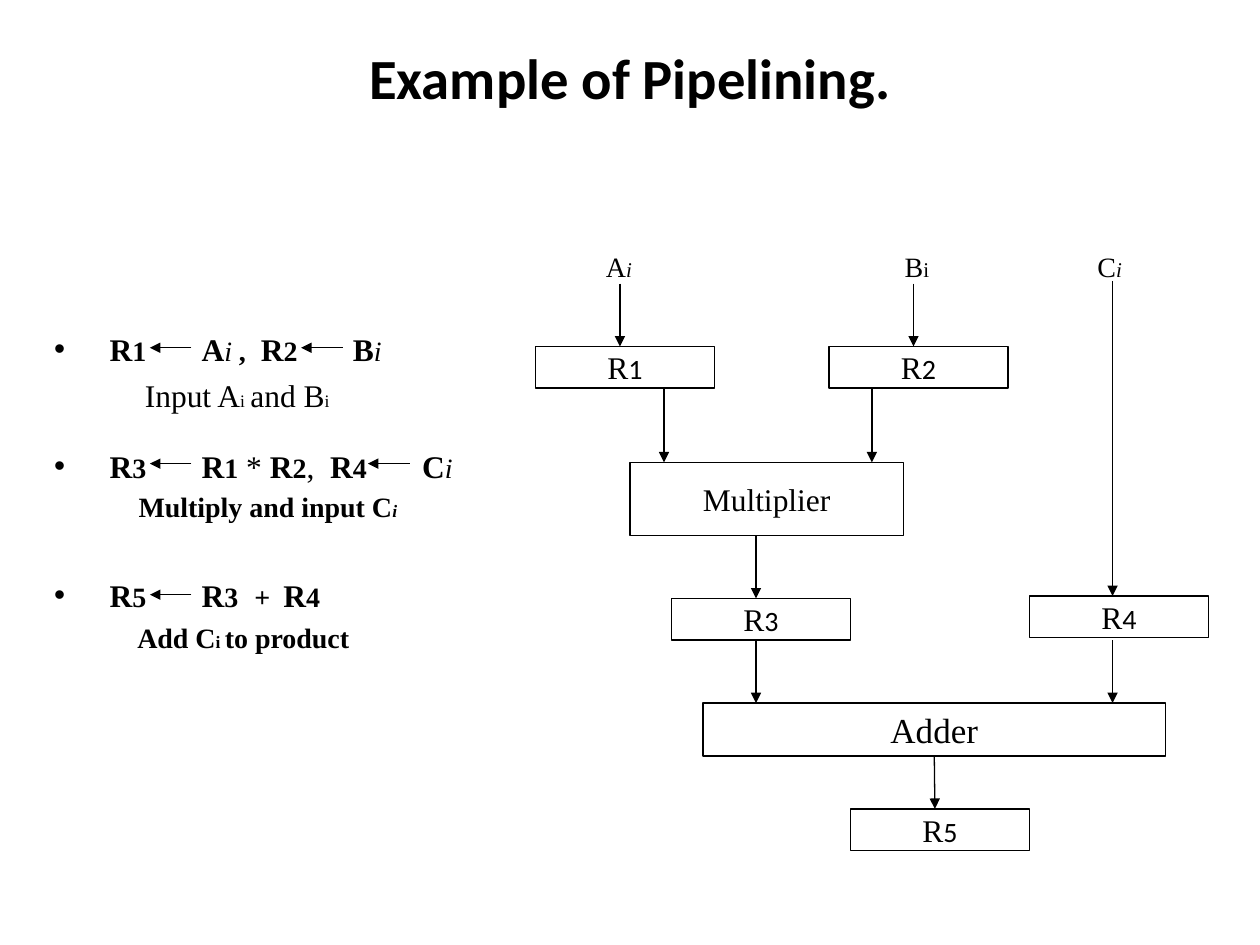
from lxml import etree
from pptx import Presentation
from pptx.dml.color import RGBColor
from pptx.enum.shapes import MSO_CONNECTOR, MSO_SHAPE
from pptx.enum.text import MSO_ANCHOR, PP_ALIGN
from pptx.oxml.ns import qn
from pptx.util import Inches, Pt

STRAIGHT = MSO_CONNECTOR.STRAIGHT
RECTANGLE = MSO_SHAPE.RECTANGLE
MIDDLE = MSO_ANCHOR.MIDDLE
CENTER = PP_ALIGN.CENTER
LEFT = PP_ALIGN.LEFT
BOTTOM_SITE = 2
COLORS = {"ink": "000000", "paper": "FFFFFF"}
INK = RGBColor.from_string(COLORS["ink"])
PAPER = RGBColor.from_string(COLORS["paper"])
SERIF, SANS = "Times New Roman", "Calibri"


def add_span(para, text, size=18, bold=False, italic=False, font=SERIF):
    span = para.add_run()
    span.text = text
    span.font.size = Pt(size)
    span.font.bold = bold
    span.font.italic = italic
    span.font.name = font
    span.font.color.rgb = INK


def add_arrow(x1, y1, x2, y2):
    arrow = page.shapes.add_connector(
        STRAIGHT, Inches(x1), Inches(y1), Inches(x2), Inches(y2))
    arrow.line.color.rgb = INK
    arrow.line.width = Pt(0.75)
    line = arrow.line._get_or_add_ln()
    etree.SubElement(line, qn("a:tailEnd"), type="triangle")
    etree.SubElement(arrow._element.spPr, qn("a:effectLst"))
    return arrow


deck = Presentation()
deck.slide_width, deck.slide_height = Inches(10), Inches(7.5)
page = deck.slides.add_slide(deck.slide_layouts[6])

# Text boxes without margins: title, micro-operations and inputs
areas = {
    "title": (0.5, 0.3, 9, 0.62),
    "steps": (0.43, 2.62, 3.7, 2.6),
    "A": (4.81, 1.98, 0.4, 0.26),
    "B": (7.18, 1.98, 0.4, 0.26),
    "C": (8.71, 1.98, 0.4, 0.26),
}
frames = {}
for name, area in areas.items():
    frame = page.shapes.add_textbox(*map(Inches, area)).text_frame
    frame.word_wrap = True
    frame.margin_left = frame.margin_right = 0
    frame.margin_top = frame.margin_bottom = 0
    frames[name] = frame

frames["title"].vertical_anchor = MIDDLE
para = frames["title"].paragraphs[0]
para.alignment = CENTER
add_span(para, "Example of Pipelining.", size=32.4, bold=True, font=SANS)

for name in "ABC":
    para = frames[name].paragraphs[0]
    add_span(para, name, size=16)
    add_span(para, "i", size=12, italic=name != "B")

# Micro-operations: space before, left margin, tab stops (none = no bullet),
# then spans of text, size and style
steps = [
    (0, 0.44, [1.17, 1.64, 2.37], [
        ("R", 18, "b"), ("1\t", 16, "b"), ("A", 18, "b"), ("i", 16, "i"),
        (" ,\t", 16, "b"), ("R", 18, "b"), ("2\t", 16, "b"),
        ("B", 18, "b"), ("i", 16, "i")]),
    (4.5, 0.72, [], [
        ("Input A", 18, ""), ("i", 10, ""), (" ", 12, ""),
        ("and B", 18, ""), ("i", 10, "")]),
    (19, 0.44, [1.17, 2.19, 2.92], [
        ("R", 18, "b"), ("3\t", 16, "b"), ("R", 18, "b"), ("1", 16, "b"),
        (" * ", 18, ""), ("R", 18, "b"), ("2", 16, "b"), (",\t", 18, ""),
        ("R", 18, "b"), ("4\t", 16, "b"), ("C", 18, "b"), ("i", 16, "i")]),
    (3, 0.67, [], [("Multiply and input C", 16, "b"), ("i", 10, "bi")]),
    (30, 0.44, [1.17, 1.59, 1.82], [
        ("R", 18, "b"), ("5\t", 16, "b"), ("R", 18, "b"),
        ("3\t+\t", 16, "b"), ("R", 18, "b"), ("4", 16, "b")]),
    (4, 0.66, [], [
        ("Add C", 16, "b"), ("i ", 10, "b"), ("to product", 16, "b")]),
]
for index, (space, margin, tabs, spans) in enumerate(steps):
    frame = frames["steps"]
    para = frame.add_paragraph() if index else frame.paragraphs[0]
    para.alignment = LEFT
    para.space_before = Pt(space)
    props = para._p.get_or_add_pPr()
    props.set("marL", str(Inches(margin)))
    if tabs:
        props.set("indent", str(-Inches(margin)))
        etree.SubElement(props, qn("a:buFont"), typeface="Arial")
        etree.SubElement(props, qn("a:buChar"), char="•")
        stops = etree.SubElement(props, qn("a:tabLst"))
        for stop in tabs:
            etree.SubElement(stops, qn("a:tab"), pos=str(Inches(stop)), algn="l")
    for text, size, style in spans:
        add_span(para, text, size=size, bold="b" in style, italic="i" in style)

# Transfer arrows between the registers in the text
for right, y in [(1.52, 2.76), (2.72, 2.76), (1.52, 3.68), (3.25, 3.68),
                 (1.52, 4.72)]:
    add_arrow(right, y, right - 0.33, y)

# Registers and arithmetic units: name, digit, area, text size
blocks = [
    ("R", "1", (4.25, 2.75, 1.42, 0.33), 18),
    ("R", "2", (6.58, 2.75, 1.42, 0.33), 18),
    ("Multiplier", "", (5, 3.67, 2.17, 0.58), 18),
    ("R", "3", (5.33, 4.75, 1.42, 0.33), 18),
    ("R", "4", (8.17, 4.73, 1.42, 0.33), 18),
    ("Adder", "", (5.58, 5.58, 3.67, 0.42), 20),
    ("R", "5", (6.75, 6.42, 1.42, 0.33), 18),
]
boxes = {}
for name, digit, area, size in blocks:
    box = page.shapes.add_shape(RECTANGLE, *map(Inches, area))
    box.shadow.inherit = False
    box.fill.solid()
    box.fill.fore_color.rgb = PAPER
    box.line.color.rgb = INK
    box.line.width = Pt(0.75)
    box.text_frame.word_wrap = False
    box.text_frame.vertical_anchor = MIDDLE
    para = box.text_frame.paragraphs[0]
    para.alignment = CENTER
    add_span(para, name, size=size)
    if digit:
        add_span(para, digit, size=16, font=SANS)
    boxes[name + digit] = box

# Data flow from top to bottom
for x, top, bottom in [
    (4.92, 2.25, 2.75), (7.25, 2.25, 2.75), (8.83, 2.23, 4.73),
    (5.27, 3.08, 3.67), (6.92, 3.08, 3.67), (6, 4.25, 4.75),
    (6, 5.08, 5.58), (8.83, 5.08, 5.58),
]:
    add_arrow(x, top, x, bottom)
result_arrow = add_arrow(7.42, 6, 7.42, 6.42)
result_arrow.begin_connect(boxes["Adder"], BOTTOM_SITE)

deck.save("out.pptx")
